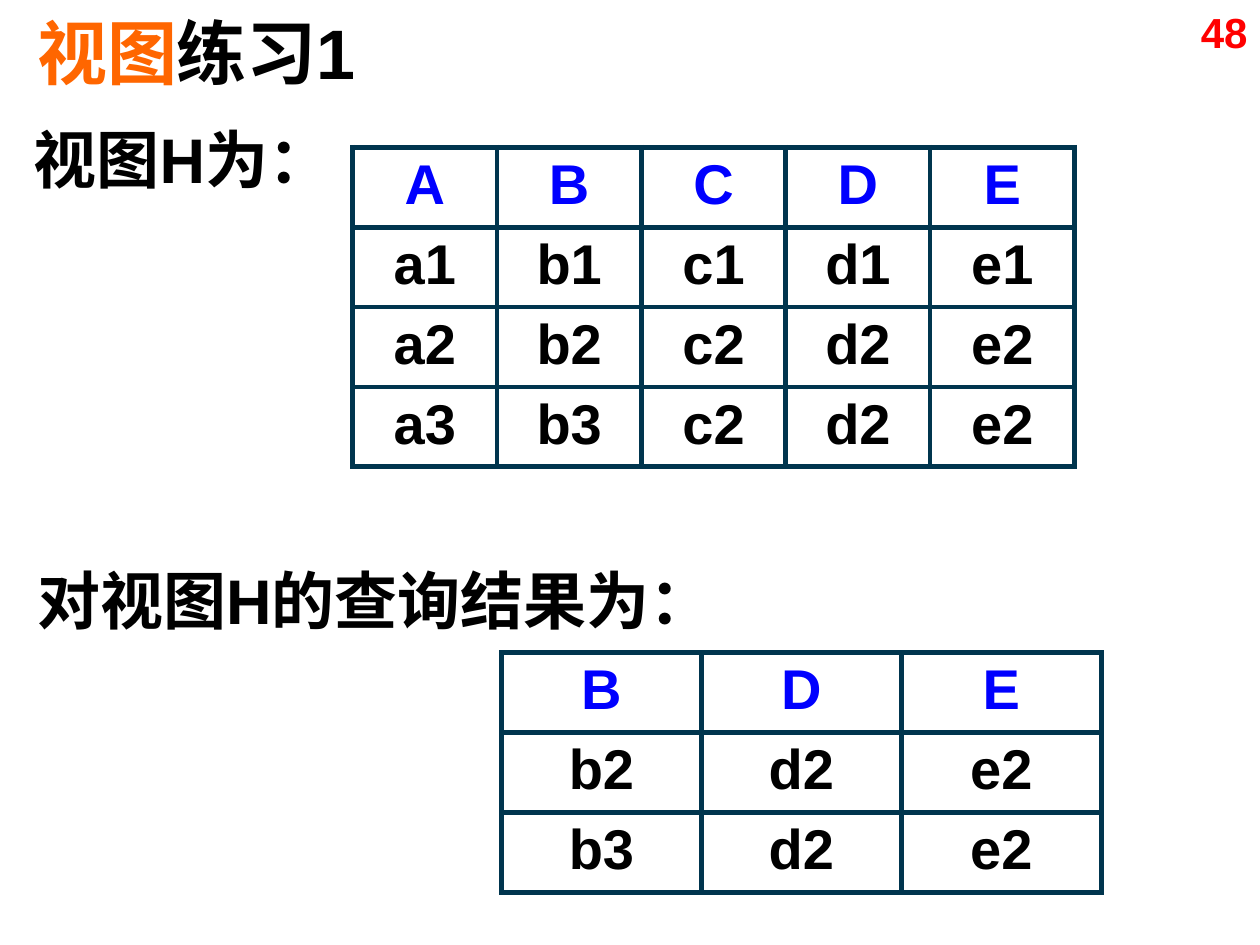
import pptx
import pptx.dml.color
import pptx.enum.text
import pptx.oxml
import pptx.oxml.ns
import pptx.util
from pptx.util import Cm

COLORS = {
    "black": "000000",
    "orange": "FF6600",
    "red": "FF0000",
    "blue": "0000FF",
    "border": "00354E",
}
ALIGN = pptx.enum.text.PP_ALIGN
ANCHOR = pptx.enum.text.MSO_ANCHOR


class SlideBuilder:
    font = "Arial"
    border_width = 3
    row_height = 1.61
    cell_size = 32

    def __init__(self, s):
        self.s = s

    def run(self, p, text, size, color):
        r = p.add_run()
        r.text = text
        r.font.name = self.font
        r.font.size = pptx.util.Pt(size)
        r.font.bold = True
        r.font.color.rgb = pptx.dml.color.RGBColor.from_string(COLORS[color])

    def text(self, left, top, width, height, runs, size,
             align=ALIGN.LEFT, anchor=ANCHOR.TOP):
        sp = self.s.shapes.add_textbox(Cm(left), Cm(top), Cm(width), Cm(height))
        tf = sp.text_frame
        tf.word_wrap = True
        tf.vertical_anchor = anchor
        p = tf.paragraphs[0]
        p.alignment = align
        for text, color in runs:
            self.run(p, text, size, color)

    def borders(self, cell):
        tc_pr = cell._tc.get_or_add_tcPr()
        width = pptx.util.Pt(self.border_width)
        for side in ("lnL", "lnR", "lnT", "lnB"):
            tc_pr.append(pptx.oxml.parse_xml(
                f'<a:{side} {pptx.oxml.ns.nsdecls("a")} w="{width}">'
                f'<a:solidFill><a:srgbClr val="{COLORS["border"]}"/></a:solidFill>'
                f'</a:{side}>'))

    def table(self, left, top, col_width, rows):
        n_rows, n_cols = len(rows), len(rows[0])
        table = self.s.shapes.add_table(
            n_rows, n_cols, Cm(left), Cm(top),
            Cm(col_width * n_cols), Cm(self.row_height * n_rows)).table
        table.first_row = False
        table.horz_banding = False
        for column in table.columns:
            column.width = Cm(col_width)
        for i, row in enumerate(rows):
            table.rows[i].height = Cm(self.row_height)
            for j, text in enumerate(row):
                cell = table.cell(i, j)
                self.borders(cell)
                cell.fill.background()
                p = cell.text_frame.paragraphs[0]
                p.alignment = ALIGN.CENTER
                self.run(p, text, self.cell_size, "black" if i else "blue")


def main():
    prs = pptx.Presentation()
    prs.slide_width = Cm(25.4)
    prs.slide_height = Cm(19.05)
    b = SlideBuilder(prs.slides.add_slide(prs.slide_layouts[6]))

    b.text(23.67, 0, 1.73, 1.27, [("48", "red")], 24, align=ALIGN.RIGHT)
    b.text(0.5, 0.33, 24.05, 1.4, [("视图", "orange"), ("练习1", "black")], 40,
           anchor=ANCHOR.MIDDLE)

    b.text(0.43, 2.31, 12.1, 2.44, [("视图H为：", "black")], 36)
    b.table(7.11, 2.97, 2.91, [
        ["A", "B", "C", "D", "E"],
        ["a1", "b1", "c1", "d1", "e1"],
        ["a2", "b2", "c2", "d2", "e2"],
        ["a3", "b3", "c2", "d2", "e2"],
    ])

    b.text(0.5, 11.2, 24.28, 1.8, [("对视图H的查询结果为：", "black")], 36)
    b.table(10.11, 13.16, 4.03, [
        ["B", "D", "E"],
        ["b2", "d2", "e2"],
        ["b3", "d2", "e2"],
    ])

    prs.save("out.pptx")


if __name__ == "__main__":
    main()
